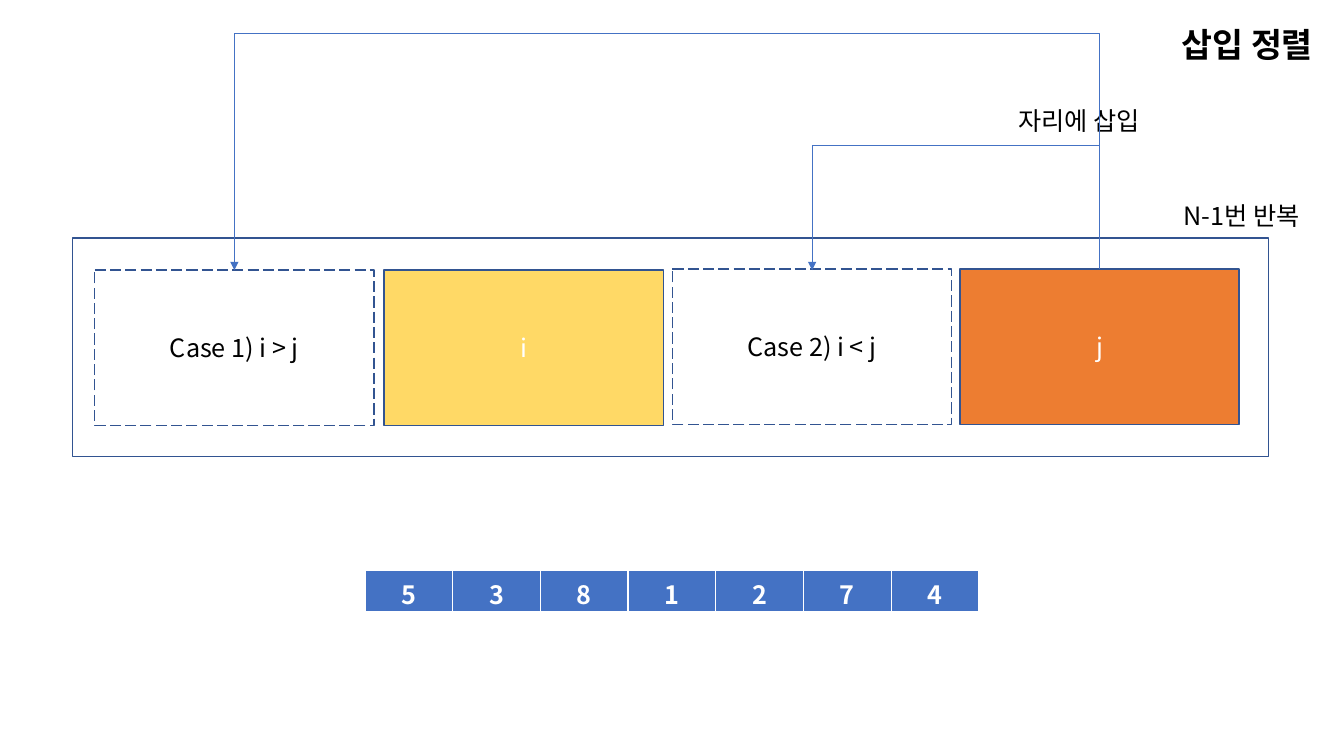
from pptx import Presentation
from pptx.dml.color import RGBColor
from pptx.enum.dml import MSO_LINE
from pptx.enum.shapes import MSO_CONNECTOR, MSO_SHAPE
from pptx.enum.text import MSO_ANCHOR, MSO_AUTO_SIZE, PP_ALIGN
from pptx.oxml.ns import qn
from pptx.util import Inches, Pt
from lxml import etree

BLACK = RGBColor(0x00, 0x00, 0x00)
WHITE = RGBColor(0xFF, 0xFF, 0xFF)
BLUE = RGBColor(0x44, 0x72, 0xC4)
NAVY = RGBColor(0x32, 0x54, 0x91)
YELLOW = RGBColor(0xFF, 0xD9, 0x66)
ORANGE = RGBColor(0xED, 0x7D, 0x31)
LEFT, CENTER, RIGHT = PP_ALIGN.LEFT, PP_ALIGN.CENTER, PP_ALIGN.RIGHT
MIDDLE = MSO_ANCHOR.MIDDLE
GROW = MSO_AUTO_SIZE.SHAPE_TO_FIT_TEXT
DASH = MSO_LINE.LONG_DASH
PROCESS = MSO_SHAPE.FLOWCHART_PROCESS
ELBOW = MSO_CONNECTOR.ELBOW
FONT = "Noto Sans CJK KR"
UNIT = 0.1


def grid(*cells):
    return [Inches(cell * UNIT) for cell in cells]


class Board:
    """Draws styled elements on one slide, on a grid of tenth-inch cells."""

    def __init__(self, slide):
        self.shapes = slide.shapes

    def letter(self, frame, text, color, align, size=18, bold=False):
        frame.text = text
        para = frame.paragraphs[0]
        para.alignment = align
        for run in para.runs:
            font = run.font
            font.name, font.size, font.bold = FONT, Pt(size), bold
            font.color.rgb = color
            east = etree.SubElement(run._r.get_or_add_rPr(), qn("a:ea"))
            east.set("typeface", FONT)

    def label(self, text, place, align=LEFT, wrap=False, size=18, bold=False):
        frame = self.shapes.add_textbox(*grid(*place)).text_frame
        frame.word_wrap = wrap
        frame.auto_size = GROW
        self.letter(frame, text, BLACK, align, size, bold)

    def box(self, place, fill=None, text="", color=BLACK, dash=None):
        box = self.shapes.add_shape(PROCESS, *grid(*place))
        box.shadow.inherit = False
        if fill is None:
            box.fill.background()
        else:
            box.fill.solid()
            box.fill.fore_color.rgb = fill
        box.line.color.rgb = NAVY
        box.line.width = Pt(1)
        if dash is not None:
            box.line.dash_style = dash
        if text:
            box.text_frame.vertical_anchor = MIDDLE
            self.letter(box.text_frame, text, color, CENTER)
        return box

    def arrow(self, start, end, rise):
        line = self.shapes.add_connector(ELBOW, 0, 0, 0, 0)
        line.begin_connect(start, 0)
        line.end_connect(end, 0)
        thick = Inches(0.01)
        first = start.left + start.width // 2
        last = end.left + end.width // 2
        line.width, line.height = thick, first - last
        line.left = (first + last - thick) // 2
        line.top = start.top + (thick - line.height) // 2
        line.line.color.rgb = BLUE
        line.line.width = Pt(0.5)
        props = line._element.spPr
        frame = props.find(qn("a:xfrm"))
        for key, value in (("rot", "16200000"), ("flipH", "1"), ("flipV", "1")):
            frame.set(key, value)
        bend = round(-Inches(rise * UNIT) / thick * 100000)
        guides = props.find(qn("a:prstGeom")).get_or_add_avLst()
        guide = etree.SubElement(guides, qn("a:gd"))
        guide.set("name", "adj1")
        guide.set("fmla", f"val {bend}")
        tail = etree.SubElement(props.find(qn("a:ln")), qn("a:tailEnd"))
        tail.set("type", "triangle")
        etree.SubElement(props, qn("a:effectLst"))

    def array(self, values, place):
        table = self.shapes.add_table(1, len(values), *grid(*place)).table
        for cell, value in zip(table.rows[0].cells, values):
            cell.fill.solid()
            cell.fill.fore_color.rgb = BLUE
            self.letter(cell.text_frame, str(value), WHITE, CENTER, bold=True)


def main():
    deck = Presentation()
    deck.slide_width, deck.slide_height = Inches(13.33), Inches(7.5)
    board = Board(deck.slides.add_slide(deck.slide_layouts[6]))
    wide, high = 27.7, 15.4
    board.label("삽입 정렬", (99.8, 1.9, 31.4, 5), RIGHT, True, 24, True)
    board.box((38.1, 26.8, wide, high), YELLOW, "i", WHITE)
    key = board.box((95.2, 26.7, wide, high), ORANGE, "j", WHITE)
    board.box((7.2, 23.6, 118.6, 21.7))
    board.label("자리에 삽입", (100, 10, 16.4, 4))
    board.label("N-1번 반복", (116.4, 19.4, 14.8, 4))
    after = board.box((66.7, 26.7, wide, high), WHITE, "Case 2) i < j", dash=DASH)
    before = board.box((9.4, 26.8, wide, high), WHITE, "Case 1) i > j", dash=DASH)
    board.arrow(key, before, 23.8)
    board.arrow(key, after, 12.5)
    board.array((5, 3, 8, 1, 2, 7, 4), (36.2, 56.6, 60.9, 4.1))
    deck.save("out.pptx")


if __name__ == "__main__":
    main()
